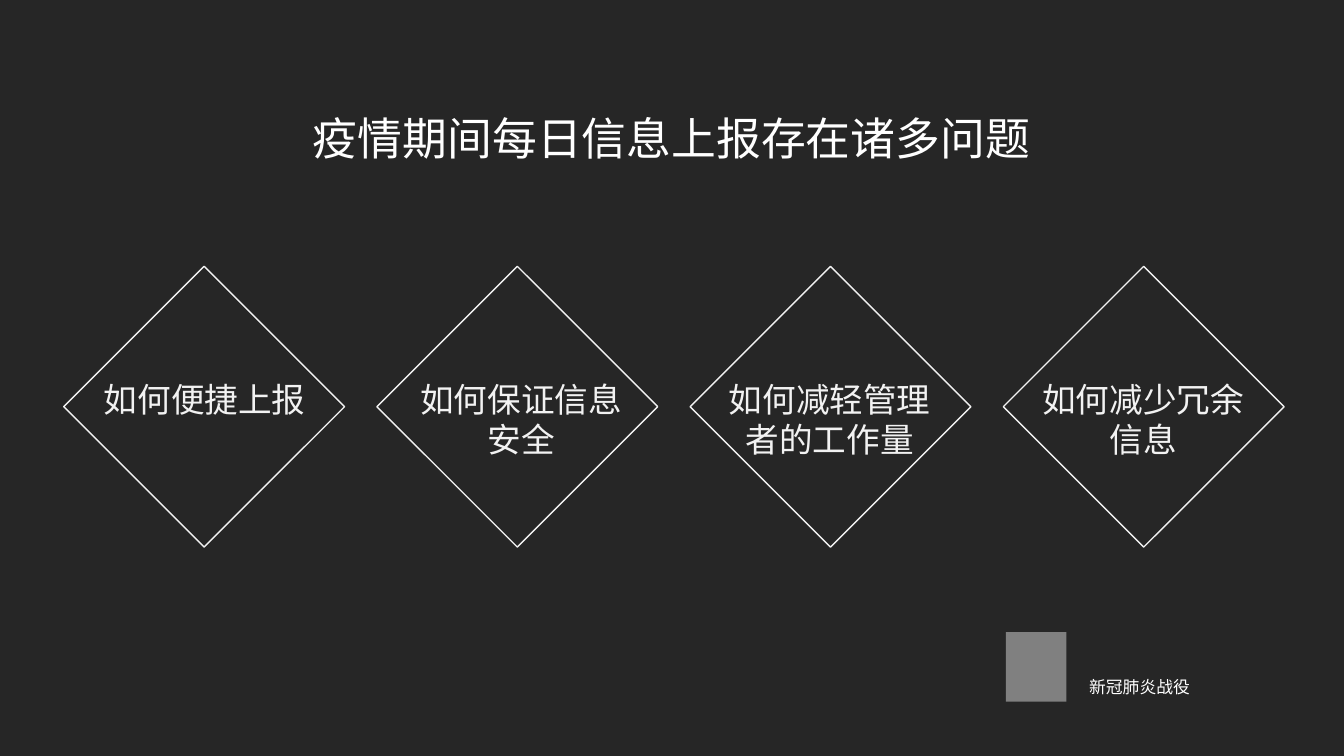
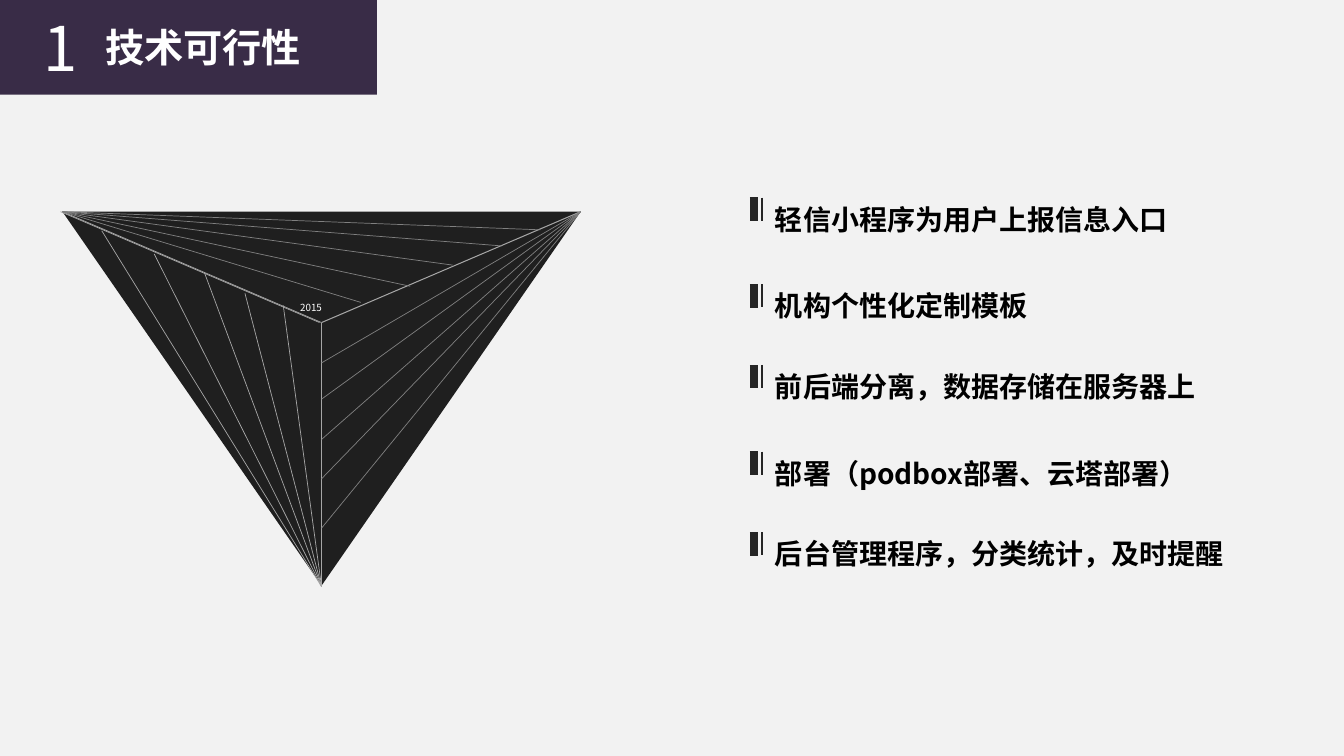
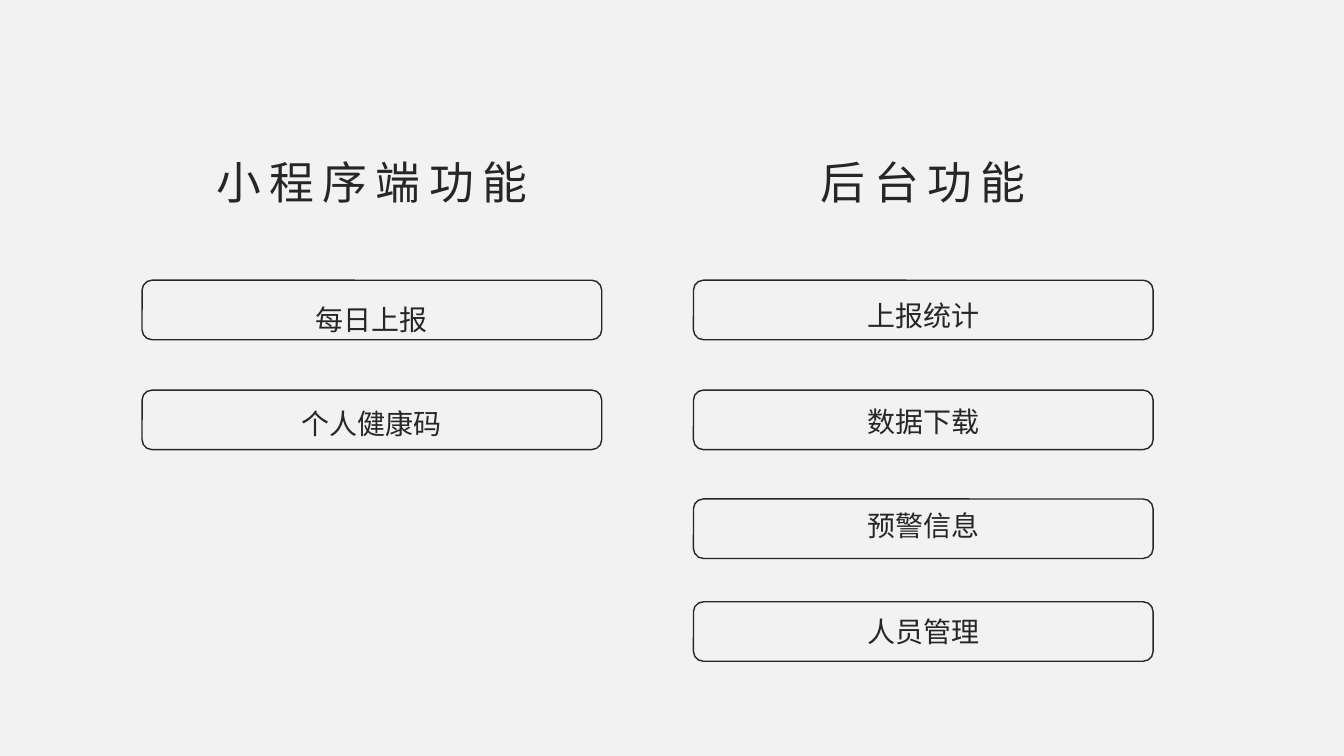
"""Build three slides on daily health reporting, placed on a grid of tenth-inch cells."""
import pptx
import pptx.util
import pptx.dml.color
import pptx.enum.shapes
import pptx.enum.text
import pptx.oxml.ns
import lxml.etree

FONT = "Noto Sans CJK SC"
COLORS = {"dark": "262626", "pale": "F2F2F2", "white": "FFFFFF", "black": "000000",
          "purple": "392C47", "silver": "A6A6A6", "gray": "808080"}
RGB = {name: pptx.dml.color.RGBColor.from_string(c) for name, c in COLORS.items()}
CELL = pptx.util.Inches(0.1)
COLS, ROWS = 133.33, 75
SHAPE = pptx.enum.shapes.MSO_SHAPE
ALIGN = pptx.enum.text.PP_ALIGN
qn = pptx.oxml.ns.qn


def text(s, words, x, y, w, h, size, color, align=ALIGN.CENTER, bold=False,
         wrap=True, leading=None, after=None, tracking=None):
    """Add a text box at a grid position."""
    tf = s.shapes.add_textbox(*(int(v * CELL) for v in (x, y, w, h))).text_frame
    tf.text = words
    tf.word_wrap = wrap
    tf.auto_size = pptx.enum.text.MSO_AUTO_SIZE.SHAPE_TO_FIT_TEXT
    p = tf.paragraphs[0]
    p.alignment = align
    if leading:
        p.line_spacing = leading
    if after:
        p.space_after = pptx.util.Pt(after)
    r = p.runs[0]
    r.font.name, r.font.size, r.font.bold = FONT, pptx.util.Pt(size), bold
    r.font.color.rgb = RGB[color]
    rPr = r._r.get_or_add_rPr()
    lxml.etree.SubElement(rPr, qn("a:ea")).set("typeface", FONT)
    if tracking:
        rPr.set("spc", str(tracking * 100))


def line(s, start, end, color, width):
    """Add a straight line between two grid points."""
    cx = s.shapes.add_connector(pptx.enum.shapes.MSO_CONNECTOR.STRAIGHT,
                                *(int(v * CELL) for v in (*start, *end)))
    cx.line.color.rgb = RGB[color]
    cx.line.width = pptx.util.Pt(width)
    lxml.etree.SubElement(cx._element.spPr, qn("a:effectLst"))


prs = pptx.Presentation()
prs.slide_width, prs.slide_height = int(COLS * CELL), ROWS * CELL
slides = []
for color in ("dark", "pale", "pale"):
    s = prs.slides.add_slide(prs.slide_layouts[6])
    s.background.fill.solid()
    s.background.fill.fore_color.rgb = RGB[color]
    slides.append(s)
problems, technology, features = slides

s = problems
text(s, "疫情期间每日信息上报存在诸多问题", 19, 10.5, 95.3, 6.4, 32, "white")
questions = [("如何便捷上报", 7.9, 24.8), ("如何保证信息安全", 40.4, 22.6),
             ("如何减轻管理者的工作量", 70.7, 23.2), ("如何减少冗余信息", 101.8, 23.2)]
for i, (words, x, w) in enumerate(questions):
    sp = s.shapes.add_shape(SHAPE.RECTANGLE, int((10.4 + 31.07 * i) * CELL),
                            int(30.5 * CELL), int(19.7 * CELL), int(19.7 * CELL))
    sp.rotation = 45
    sp.shadow.inherit = False
    sp.fill.background()
    sp.line.color.rgb = RGB["pale"]
    sp.line.width = pptx.util.Pt(1)
    text(s, words, x, 37.1, w, 9.1, 24, "pale")

sp = s.shapes.add_shape(SHAPE.RECTANGLE, int(99.8 * CELL), int(62.7 * CELL),
                        6 * CELL, int(6.9 * CELL))
sp.shadow.inherit = False
sp.fill.solid()
sp.fill.fore_color.rgb = RGB["gray"]
sp.line.fill.background()
text(s, "新冠肺炎战役", 104, 65.6, 18.1, 4, 12, "white", leading=1.5, after=10)

s = technology
points = ["轻信小程序为用户上报信息入口", "机构个性化定制模板", "前后端分离，数据存储在服务器上",
          "部署（podbox部署、云塔部署）", "后台管理程序，分类统计，及时提醒"]
for i, words in enumerate(points):
    y = 17.9 + 16.6 * (i // 2) + 8.6 * (i % 2)
    line(s, (74.4, y + 2.85), (75.2, y + 2.85), "dark", 17)
    line(s, (75.6, y + 1.7), (75.6, y + 4), "dark", 2)
    text(s, words, 75.9, y, 50.3, 5.5, 20, "black", ALIGN.LEFT, bold=True, leading=1.5)

sp = s.shapes.add_shape(SHAPE.RECTANGLE, 0, 0, int(37.4 * CELL), int(9.4 * CELL))
sp.shadow.inherit = False
sp.fill.solid()
sp.fill.fore_color.rgb = RGB["purple"]
sp.line.fill.background()
text(s, "技术可行性", 9.3, 1.8, 21.7, 5.7, 28, "white", bold=True, wrap=False)
text(s, "1", 3.3, 0.5, 5.4, 8.4, 44, "white", ALIGN.LEFT, wrap=False)

left, right, center, bottom = (6.2, 21), (57.6, 21), (31.9, 32), (31.9, 58.2)
sp = s.shapes.add_shape(SHAPE.ISOSCELES_TRIANGLE, int(6.2 * CELL), 21 * CELL,
                        int(51.4 * CELL), int(37.1 * CELL))
sp.rotation = 180
sp.shadow.inherit = False
sp.fill.solid()
sp.fill.fore_color.rgb = RGB["black"]
tint = next(sp._element.spPr.iter(qn("a:srgbClr")))
lxml.etree.SubElement(tint, qn("a:alpha")).set("val", "87000")
sp.line.fill.background()
for start, end, width in [(left, center, 0.5), (right, center, 0.75), (center, bottom, 0.5),
                          ((31.7, 32), (6, 21), 0.5)]:
    line(s, start, end, "silver", width)
fans = [(right, "gray", [(31.9, 36), (31.9, 39.6), (31.9, 43.6), (31.9, 47.5), (31.9, 52.4)]),
        (left, "gray", [(35.8, 30), (40.7, 28.4), (44.9, 26.3), (49.8, 24.4), (53.6, 22.8)]),
        (bottom, "silver", [(28.1, 30.3), (24.3, 29.1), (20.3, 27.1), (15.3, 25.2), (10.1, 22.9)])]
for corner, color, ends in fans:
    for end in ends:
        line(s, corner, end, color, 0.5)
text(s, "2015", 28.8, 29.4, 6.8, 2.5, 7, "white", ALIGN.LEFT)

s = features
columns = [("小程序端功能", 14.1, [("每日上报", 29.5), ("个人健康码", 39.8)]),
           ("后台功能", 68.8, [("上报统计", 29.1), ("数据下载", 39.6),
                           ("预警信息", 50), ("人员管理", 60.5)])]
box_tops = [27.8, 38.7, 49.5, 59.7]
box_w, box_h = 45.6, 5.9
for heading, x, labels in columns:
    text(s, heading, x, 14.9, box_w, 6.4, 32, "dark", tracking=6)
    for (words, y), top in zip(labels, box_tops):
        sp = s.shapes.add_shape(SHAPE.ROUNDED_RECTANGLE, int(x * CELL), int(top * CELL),
                                int(box_w * CELL), int(box_h * CELL))
        sp.shadow.inherit = False
        sp.fill.background()
        sp.line.color.rgb = RGB["dark"]
        sp.line.width = pptx.util.Pt(1)
        text(s, words, x, y, box_w, 4.4, 20, "dark")

prs.save("out.pptx")
